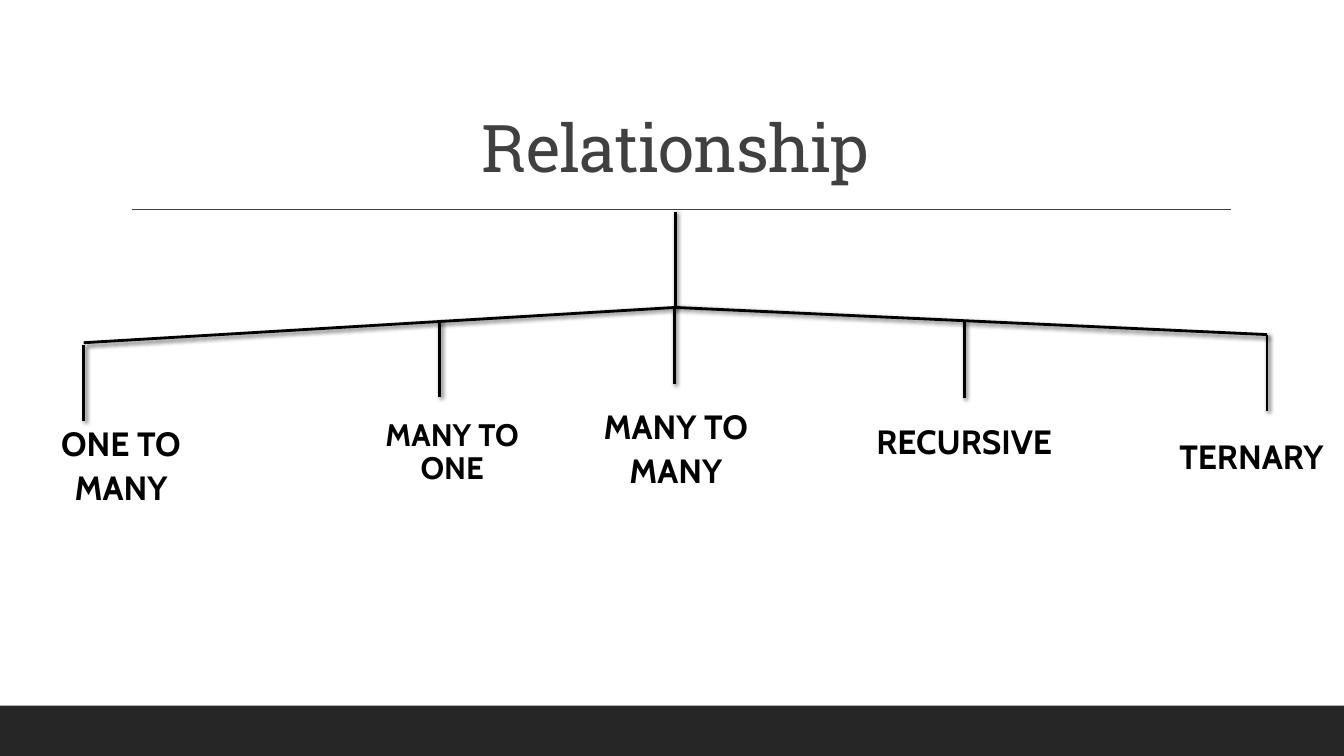
from pptx import Presentation
from pptx.dml.color import RGBColor
from pptx.enum.shapes import MSO_CONNECTOR, MSO_SHAPE
from pptx.enum.text import MSO_ANCHOR, PP_ALIGN
from pptx.oxml import parse_xml
from pptx.oxml.ns import nsdecls
from pptx.util import Pt

deck = Presentation()
deck.slide_width, deck.slide_height = Pt(960), Pt(540)
slide = deck.slides.add_slide(deck.slide_layouts[6])
shapes = slide.shapes
rgb = RGBColor.from_string

shadow = (
    '<a:outerShdw blurRad="38100" dist="25400" dir="2700000" algn="tl" rotWithShape="0">'
    '<a:srgbClr val="000000"><a:alpha val="60000"/></a:srgbClr></a:outerShdw>'
)


def rule(start, end, color="000000", width=2, effect=shadow):
    line = shapes.add_connector(MSO_CONNECTOR.STRAIGHT, *map(Pt, start + end))
    line.line.color.rgb = rgb(color)
    line.line.width = Pt(width)
    xml = f'<a:effectLst {nsdecls("a")}>{effect}</a:effectLst>'
    line._element.spPr.append(parse_xml(xml))
    return line


def label(text, box, anchor, para, font, color):
    item = shapes.add_textbox(*map(Pt, box))
    frame = item.text_frame
    frame.word_wrap = True
    frame.vertical_anchor = anchor
    part = frame.paragraphs[0]
    part.alignment = PP_ALIGN.CENTER
    run = part.add_run()
    run.text = text
    run.font.color.rgb = rgb(color)
    for target, values in ((part, para), (run.font, font)):
        for key, value in values.items():
            setattr(target, key, value)
    return item


footer = shapes.add_shape(MSO_SHAPE.RECTANGLE, 0, Pt(504), Pt(960), Pt(36))
footer.shadow.inherit = False
footer.fill.solid()
footer.fill.fore_color.rgb = rgb("262626")
footer.line.fill.background()

rule((94.3, 149.8), (879.1, 149.8), "404040", 1, "")
title = label(
    "Relationship", (86.4, 22.3, 792, 114.5), MSO_ANCHOR.BOTTOM,
    {"line_spacing": 0.9}, {"name": "Roboto Slab", "size": Pt(47)}, "404040",
)
title.text_frame.paragraphs[0].runs[0].font._element.set("spc", "-50")

hub = (482.4, 219.6)
rule((482.4, 151.2), hub)
rule(hub, (59.8, 244.8))
rule((905, 239), hub)

kinds = [
    ("ONE TO MANY", (7.2, 301.7, 158.4, 58.3), 24, 1.1, (59.8, 246.2)),
    ("MANY TO ONE", (250.6, 294.5, 144.7, 58.3), 22.2, 0.9, (313.9, 229)),
    ("MANY TO MANY", (401, 284.4, 163.4, 68.4), 24, 1.1, (481.7, 219.6)),
    ("RECURSIVE", (616.3, 284.4, 144.7, 58.3), 24, 1.1, (688.65, 229.7)),
    ("TERNARY", (821.5, 295.2, 144.7, 58.3), 24, 1.1, (905, 239)),
]
for text, box, size, space, (x, y) in kinds:
    item = label(
        text, box, MSO_ANCHOR.MIDDLE,
        {"line_spacing": space, "space_before": Pt(12), "space_after": Pt(2)},
        {"name": "Cabin", "size": Pt(size), "bold": True}, "000000",
    )
    drop = rule((x, y), (x, y + 54.7))
    if text == "RECURSIVE":
        drop.end_connect(item, 0)

deck.save("out.pptx")
